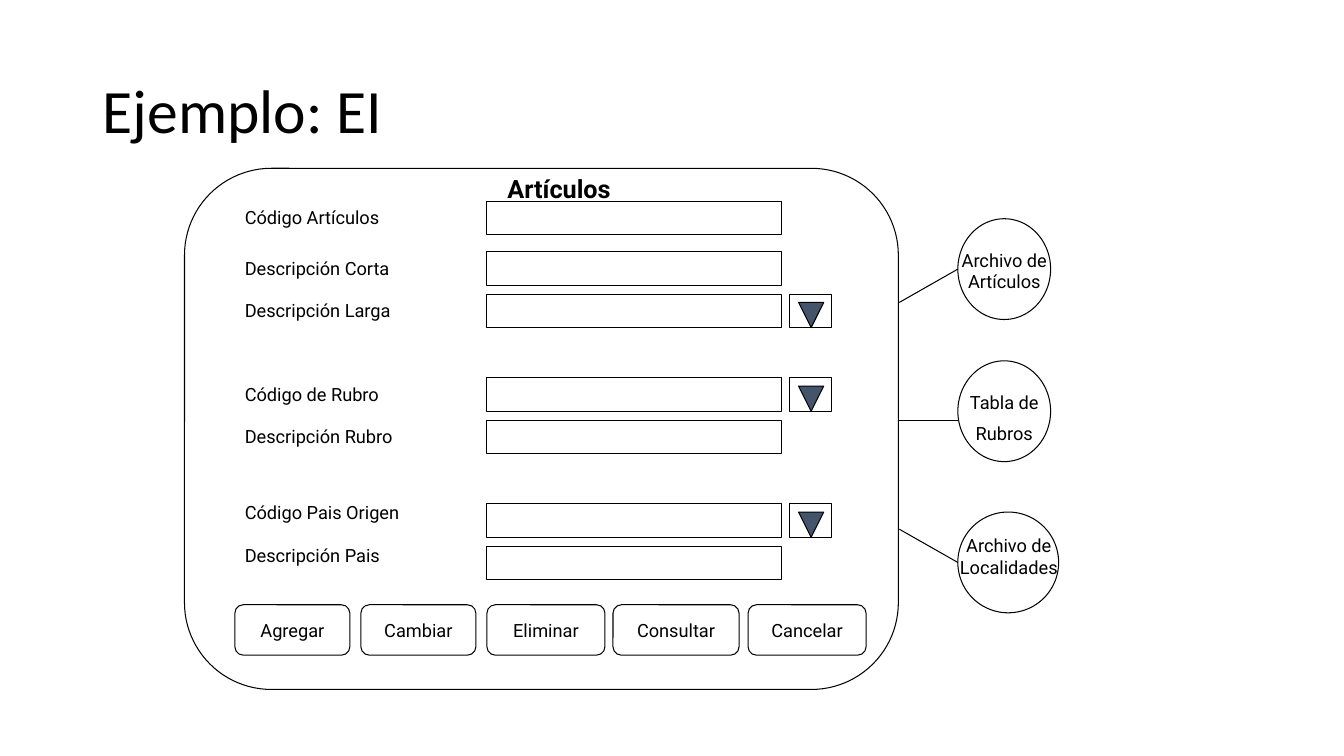
from lxml import etree
from pptx import Presentation
from pptx.dml.color import RGBColor
from pptx.enum.shapes import MSO_CONNECTOR, MSO_SHAPE
from pptx.enum.text import MSO_ANCHOR, PP_ALIGN
from pptx.oxml.ns import qn
from pptx.util import Inches, Pt

RECT = MSO_SHAPE.RECTANGLE
ROUND = MSO_SHAPE.ROUNDED_RECTANGLE
OVAL = MSO_SHAPE.OVAL
MERGE = MSO_SHAPE.FLOWCHART_MERGE
STRAIGHT = MSO_CONNECTOR.STRAIGHT
MIDDLE, TOP = MSO_ANCHOR.MIDDLE, MSO_ANCHOR.TOP
LEFT, CENTER = PP_ALIGN.LEFT, PP_ALIGN.CENTER

BLACK, SLATE = "000000", "44546A"
BODY = {"name": "Roboto", "size": Pt(13)}
HEADING = {"name": "Roboto", "size": Pt(18), "bold": True}
TITLE = {"name": "Calibri", "size": Pt(44)}

LABEL_X, FIELD_X, PICKER_X = 2.33, 4.83, 7.83
ROW_H = 0.33
FIELDS = [
    ("Código Artículos", 2, 2, False),
    ("Descripción Corta", 2.5, 2.5, False),
    ("Descripción Larga", 2.92, 2.92, True),
    ("Código de Rubro", 3.75, 3.75, True),
    ("Descripción Rubro", 4.17, 4.17, False),
    ("Código Pais Origen", 4.92, 5, True),
    ("Descripción Pais", 5.35, 5.42, False),
]
BUTTONS = [
    ("Agregar", 2.33, 1.14),
    ("Cambiar", 3.58, 1.14),
    ("Eliminar", 4.83, 1.17),
    ("Consultar", 6.08, 1.25),
    ("Cancelar", 7.42, 1.17),
]
FILES = [
    (["Archivo de Artículos"], (9.42, 2.42, 1.08, 0.53), (9.5, 2.17, 0.92, 1), 3),
    (["Tabla de", "Rubros"], (9.25, 3.83, 1.42, 0.64), (9.5, 3.58, 0.92, 1), 4.17),
    (["Archivo de Localidades"], (9.42, 5.25, 1.17, 0.53), (9.5, 5.08, 1, 1), 5.25),
]
LINK_Y = [2.67, 4.17, 5.58]


def color(value):
    return RGBColor.from_string(value)


def box(*lengths):
    return [Inches(length) for length in lengths]


def write(sp, lines, fmt, align=LEFT, anchor=TOP, side=0.1):
    tf = sp.text_frame
    tf.word_wrap = True
    tf.vertical_anchor = anchor
    tf.margin_left = tf.margin_right = Inches(side)
    for i, line in enumerate(lines):
        p = tf.paragraphs[0] if i == 0 else tf.add_paragraph()
        p.alignment = align
        if i:
            p.space_before = Pt(7)
        r = p.add_run()
        r.text = line
        for key, value in fmt.items():
            setattr(r.font, key, value)
        r.font.color.rgb = color(BLACK)


def add_text(s, at, lines, fmt, **layout):
    sp = s.shapes.add_textbox(*box(*at))
    write(sp, lines, fmt, **layout)
    return sp


def add_outline(s, kind, at, fill=None):
    sp = s.shapes.add_shape(kind, *box(*at))
    sp.shadow.inherit = False
    if fill:
        sp.fill.solid()
        sp.fill.fore_color.rgb = color(fill)
    else:
        sp.fill.background()
    sp.line.color.rgb = color(BLACK)
    sp.line.width = Pt(0.75)
    return sp


def add_link(s, start, end):
    link = s.shapes.add_connector(STRAIGHT, *box(*start, *end))
    link.line.color.rgb = color(BLACK)
    link.line.width = Pt(0.75)
    etree.SubElement(link._element.spPr, qn("a:effectLst"))


def add_field(s, label, label_y, y, has_picker):
    add_text(s, (LABEL_X, label_y, 2.5, 0.32), [label], BODY)
    add_outline(s, RECT, (FIELD_X, y, 2.92, ROW_H))
    if has_picker:
        add_outline(s, MERGE, (PICKER_X + 0.09, y + 0.08, 0.25, 0.25), SLATE)
        add_outline(s, RECT, (PICKER_X, y, 0.42, ROW_H))


def add_button(s, label, x, width):
    sp = add_outline(s, ROUND, (x, 6, width, 0.5))
    write(sp, [label], BODY, align=CENTER, anchor=MIDDLE)


def add_file(s, lines, text_at, circle_at, panel_y, link_y):
    add_outline(s, OVAL, circle_at)
    add_text(s, text_at, lines, BODY, align=CENTER, side=0.05)
    add_link(s, (circle_at[0], link_y), (8.92, panel_y))


def main():
    prs = Presentation()
    prs.slide_width, prs.slide_height = box(13.33, 7.5)
    s = prs.slides.add_slide(prs.slide_layouts[6])

    title = add_text(s, (0.92, 0.4, 11.5, 1.45), ["Ejemplo: EI"], TITLE, anchor=MIDDLE)
    title.text_frame.paragraphs[0].line_spacing = 0.9
    add_outline(s, ROUND, (1.83, 1.67, 7.08, 5.17))
    add_text(s, (3.67, 1.67, 3.75, 0.4), ["Artículos"], HEADING, align=CENTER)
    for field in FIELDS:
        add_field(s, *field)
    for button in BUTTONS:
        add_button(s, *button)
    for file, link_y in zip(FILES, LINK_Y):
        add_file(s, *file, link_y)

    prs.save("out.pptx")


if __name__ == "__main__":
    main()
